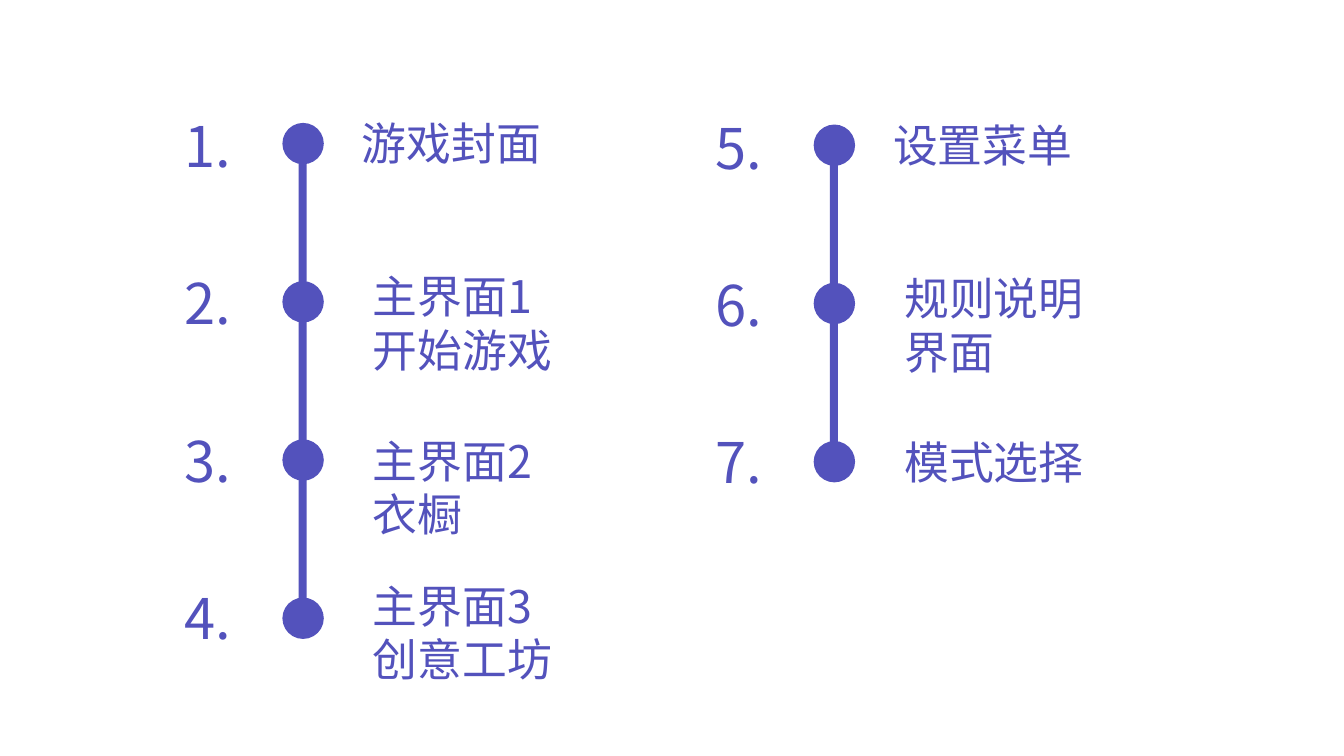
from dataclasses import dataclass

from lxml import etree
from pptx import Presentation
from pptx.dml.color import RGBColor
from pptx.enum.shapes import MSO_SHAPE
from pptx.oxml.ns import qn
from pptx.util import Inches, Pt

OVAL = MSO_SHAPE.OVAL
RECT = MSO_SHAPE.RECTANGLE
WIDTH, HEIGHT = Inches(13.33), Inches(7.5)


@dataclass(frozen=True)
class Theme:
    """Hold the colour, font and type sizes."""
    ink: RGBColor = RGBColor(0x53, 0x52, 0xBC)
    font: str = "Noto Sans CJK SC"
    number: int = 40
    label: int = 32


THEME = Theme()
STEP = 20.93
NUMBER_STEP = 20.8
DOT_LEFT, DOT_TOP = 8.03, 2.13
DOT_WIDTH, DOT_HEIGHT = 3.08, 5.47
BAR_LEFT, BAR_TOP, BAR_WIDTH = 9.23, 4.66, 0.6
LABEL_SPOTS = [(13.2, 0.53), (14.03, -0.14), (14.03, 0.66), (14.03, -1.07)]

LEFT_STEPS = ["游戏封面", "主界面1\n开始游戏", "主界面2\n衣橱", "主界面3\n创意工坊"]
RIGHT_STEPS = ["设置菜单", "规则说明界面", "模式选择"]


def frame(left, top, width, height):
    """Turn percent of the slide into lengths."""
    return (int(WIDTH * left / 100), int(HEIGHT * top / 100),
            int(WIDTH * width / 100), int(HEIGHT * height / 100))


def add_solid(slide, kind, *box):
    """Add a plain filled shape."""
    shape = slide.shapes.add_shape(kind, *frame(*box))
    shape.shadow.inherit = False
    shape.fill.solid()
    shape.fill.fore_color.rgb = THEME.ink
    shape.line.fill.background()


def add_text(slide, text, size, *box):
    """Add a wrapped text box in the theme font."""
    body = slide.shapes.add_textbox(*frame(*box)).text_frame
    body.word_wrap = True
    body.text = text
    for para in body.paragraphs:
        for run in para.runs:
            run.font.size = Pt(size)
            run.font.name = THEME.font
            run.font.color.rgb = THEME.ink
            east = etree.SubElement(run.font._element, qn("a:ea"))
            east.set("typeface", THEME.font)


def add_track(slide, left, top, first, steps):
    """Draw one numbered timeline from its top left corner."""
    for row, label in enumerate(steps):
        base = top + row * STEP
        add_solid(slide, OVAL, left + DOT_LEFT, base + DOT_TOP,
                  DOT_WIDTH, DOT_HEIGHT)
        if row < len(steps) - 1:
            add_solid(slide, RECT, left + BAR_LEFT, base + BAR_TOP,
                      BAR_WIDTH, STEP)
        add_text(slide, f"{first + row}.", THEME.number,
                 left, top + row * NUMBER_STEP, 5.93, 10.27)
        across, down = LABEL_SPOTS[row]
        tall = 15.73 if len(label) > 4 or "\n" in label else 8.53
        add_text(slide, label, THEME.label,
                 left + across, base + down, 16.88, tall)


def main():
    """Build and save the slide."""
    deck = Presentation()
    deck.slide_width, deck.slide_height = WIDTH, HEIGHT
    slide = deck.slides.add_slide(deck.slide_layouts[6])
    add_track(slide, 12.98, 14.13, 1, LEFT_STEPS)
    add_track(slide, 52.51, 14.35, len(LEFT_STEPS) + 1, RIGHT_STEPS)
    deck.save("out.pptx")


if __name__ == "__main__":
    main()
